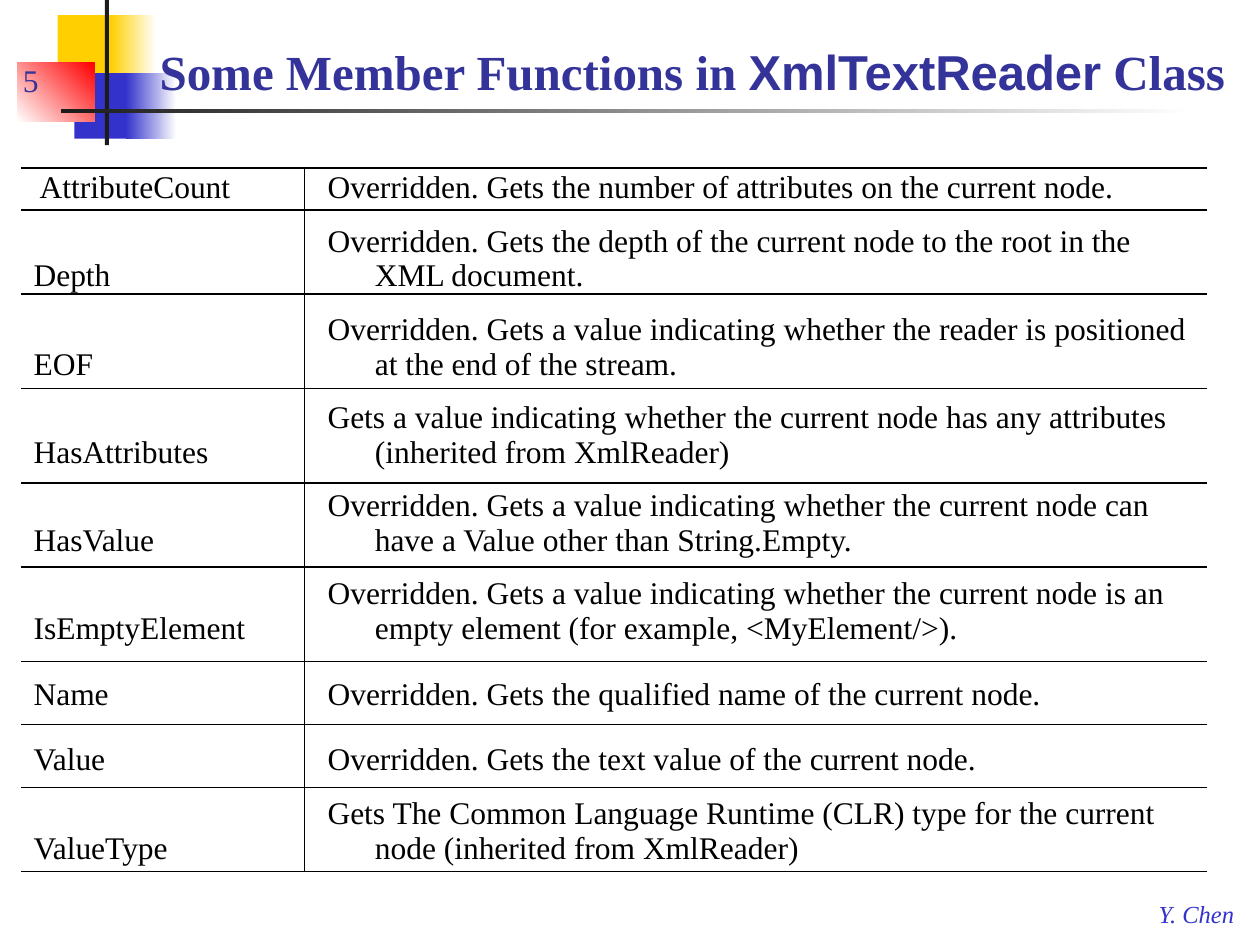
from itertools import accumulate

from lxml.etree import SubElement
from pptx import Presentation
from pptx.dml.color import RGBColor
from pptx.enum.shapes import MSO_CONNECTOR, MSO_SHAPE
from pptx.enum.text import MSO_ANCHOR, MSO_AUTO_SIZE, PP_ALIGN
from pptx.oxml.ns import qn
from pptx.util import Pt

COLORS = {
    "yellow": "FFCF01", "blue": "3333CC", "red": "FF0000", "white": "FFFFFF",
    "charcoal": "1C1C1C", "navy": "333399", "black": "000000",
}
SERIF = "Times New Roman"
NO_GRID_STYLE = "{2D5ABB26-0587-4C30-8999-92F81FD0307C}"

BLOCKS = [
    ((33, 8.6, 34.5, 37.5), ["yellow"], 0),
    ((63.3, 8.6, 26, 37.5), ["yellow", "white"], 0),
    ((42.5, 41.8, 33, 37.5), ["blue"], 0),
    ((72, 41.8, 28.8, 37.5), ["blue", "white"], 0),
    ((10, 36, 44, 33.5), ["white", "red"], 45),
    ((60, 0, 2.2, 83), ["charcoal"], 0),
    ((34.8, 62.2, 648, 2.2), ["charcoal", "white"], 0),
]
MEMBERS = [
    (" AttributeCount", "Overridden. Gets the number of attributes on the current node."),
    ("Depth", "Overridden. Gets the depth of the current node to the root in the XML document."),
    ("EOF", "Overridden. Gets a value indicating whether the reader is positioned "
            "at the end of the stream."),
    ("HasAttributes", "Gets a value indicating whether the current node has any attributes "
                      "(inherited from XmlReader)"),
    ("HasValue", "Overridden. Gets a value indicating whether the current node can have "
                 "a Value other than String.Empty."),
    ("IsEmptyElement", "Overridden. Gets a value indicating whether the current node is an "
                       "empty element (for example, <MyElement/>)."),
    ("Name", "Overridden. Gets the qualified name of the current node."),
    ("Value", "Overridden. Gets the text value of the current node."),
    ("ValueType", "Gets The Common Language Runtime (CLR) type for the current node "
                  "(inherited from XmlReader)"),
]
ROW_HEIGHTS = [85, 50.4, 50.4, 50.4, 50.4, 50.4, 37.5, 37.5, 50.4]
COLUMN_WIDTHS = [168, 510]
RULE_TOPS = list(accumulate([96, 24, 48, 54, 54, 48, 54, 36, 36, 48]))
LEFT, RIGHT, DIVIDER = 12, 690, 174


def rgb(name):
    """Return the named palette colour."""
    return RGBColor.from_string(COLORS[name])


def add_span(para, text, color, size, font=SERIF, **formats):
    """Append a formatted run to a paragraph."""
    span = para.add_run()
    span.text = text
    span.font.color.rgb = rgb(color)
    for name, value in {"name": font, "size": Pt(size), **formats}.items():
        setattr(span.font, name, value)


def add_block(page, place, colors, angle):
    """Add a borderless rectangle with a solid or gradient fill."""
    block = page.shapes.add_shape(MSO_SHAPE.RECTANGLE, *map(Pt, place))
    block.shadow.inherit = False
    block.line.fill.background()
    if len(colors) == 1:
        block.fill.solid()
        block.fill.fore_color.rgb = rgb(colors[0])
        return
    block.fill.gradient()
    block.fill.gradient_angle = angle
    for stop, color in zip(block.fill.gradient_stops, colors):
        stop.color.rgb = rgb(color)


def add_label(page, place, text, color, size, frame_formats, **formats):
    """Add a one-line text box."""
    box = page.shapes.add_textbox(*map(Pt, place))
    for name, value in frame_formats.items():
        setattr(box.text_frame, name, value)
    add_span(box.text_frame.paragraphs[0], text, color, size, **formats)


def fill_title(page):
    """Place the title above the decoration and write its runs."""
    title = page.shapes.title
    page.shapes._spTree.append(title._element)
    place = {"left": 84, "top": 12, "width": 630, "height": 49}
    for name, value in place.items():
        setattr(title, name, Pt(value))
    frame = title.text_frame
    formats = {"vertical_anchor": MSO_ANCHOR.BOTTOM, "word_wrap": True,
               "auto_size": MSO_AUTO_SIZE.NONE}
    for name, value in formats.items():
        setattr(frame, name, value)
    para = frame.paragraphs[0]
    para.alignment = PP_ALIGN.LEFT
    for text, font in [("Some Member Functions in ", SERIF),
                       ("XmlTextReader", "Arial"), (" Class", SERIF)]:
        add_span(para, text, "navy", 28, font, bold=True)


def fill_cell(cell, text):
    """Write bottom-anchored text with a hanging indent."""
    cell.fill.background()
    cell.vertical_anchor = MSO_ANCHOR.BOTTOM
    para = cell.text_frame.paragraphs[0]
    properties = para._p.get_or_add_pPr()
    properties.set("marL", str(Pt(27)))
    properties.set("indent", str(-Pt(27)))
    add_span(para, text, "black", 18)


def add_member_table(page):
    """Add the table of member names and descriptions."""
    place = (LEFT, 36, sum(COLUMN_WIDTHS), sum(ROW_HEIGHTS))
    table = page.shapes.add_table(len(MEMBERS), 2, *map(Pt, place)).table
    table.first_row = table.horz_banding = False
    table._tbl.tblPr.find(qn("a:tableStyleId")).text = NO_GRID_STYLE
    for column, width in zip(table.columns, COLUMN_WIDTHS):
        column.width = Pt(width)
    for row, height, member in zip(table.rows, ROW_HEIGHTS, MEMBERS):
        row.height = Pt(height)
        for cell, text in zip(row.cells, member):
            fill_cell(cell, text)


def add_rule(page, *ends):
    """Add a thin black line."""
    rule = page.shapes.add_connector(MSO_CONNECTOR.STRAIGHT, *map(Pt, ends))
    rule.line.color.rgb = rgb("black")
    rule.line.width = Pt(0.75)
    SubElement(rule._element.spPr, qn("a:effectLst"))


def main():
    """Build the slide and save it."""
    deck = Presentation()
    deck.slide_width, deck.slide_height = Pt(720), Pt(540)
    page = deck.slides.add_slide(deck.slide_layouts[5])
    for place, colors, angle in BLOCKS:
        add_block(page, place, colors, angle)
    add_label(page, (655, 510, 59, 24), "Y. Chen", "blue", 14,
              {"word_wrap": False, "auto_size": MSO_AUTO_SIZE.SHAPE_TO_FIT_TEXT}, italic=True)
    add_label(page, (6, 24, 150, 36), "5", "navy", 18,
              {"word_wrap": True, "vertical_anchor": MSO_ANCHOR.BOTTOM})
    fill_title(page)
    add_member_table(page)
    for top in RULE_TOPS:
        add_rule(page, LEFT, top, RIGHT, top)
    add_rule(page, DIVIDER, RULE_TOPS[0], DIVIDER, RULE_TOPS[-1])
    deck.save("out.pptx")


if __name__ == "__main__":
    main()
